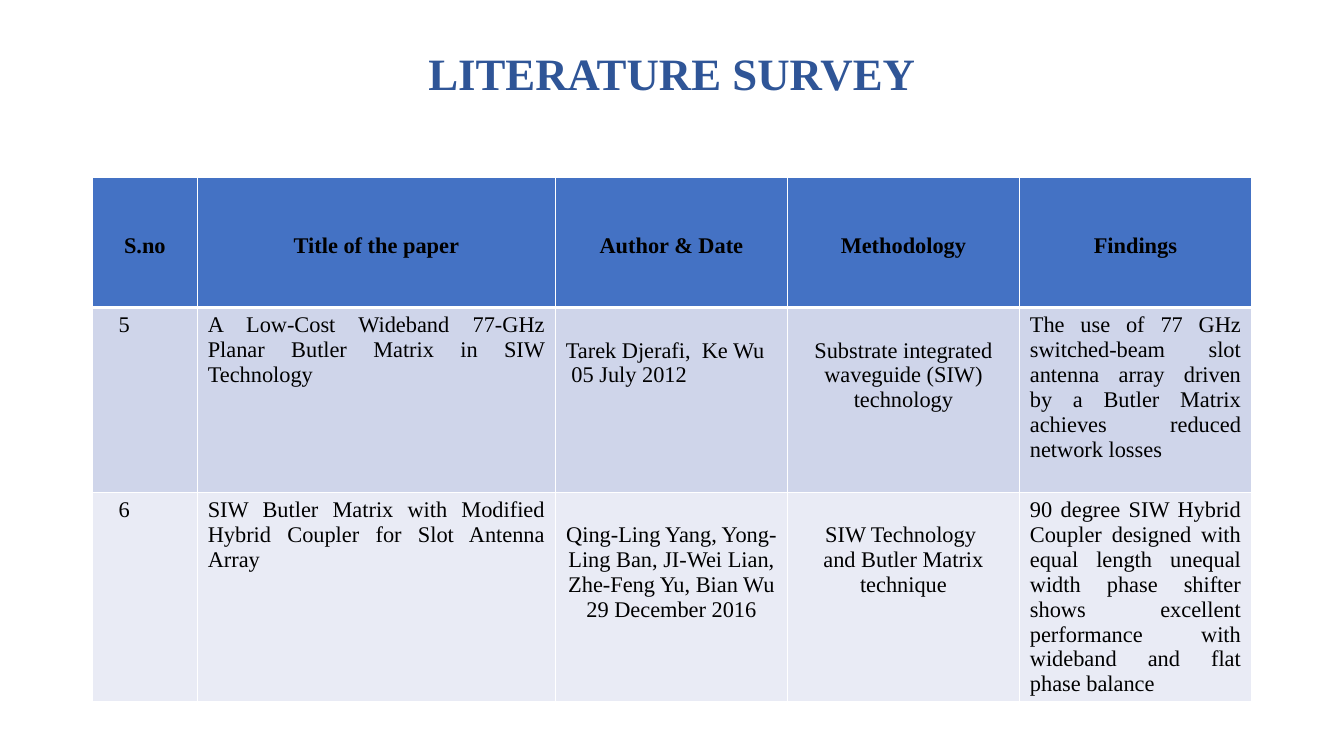
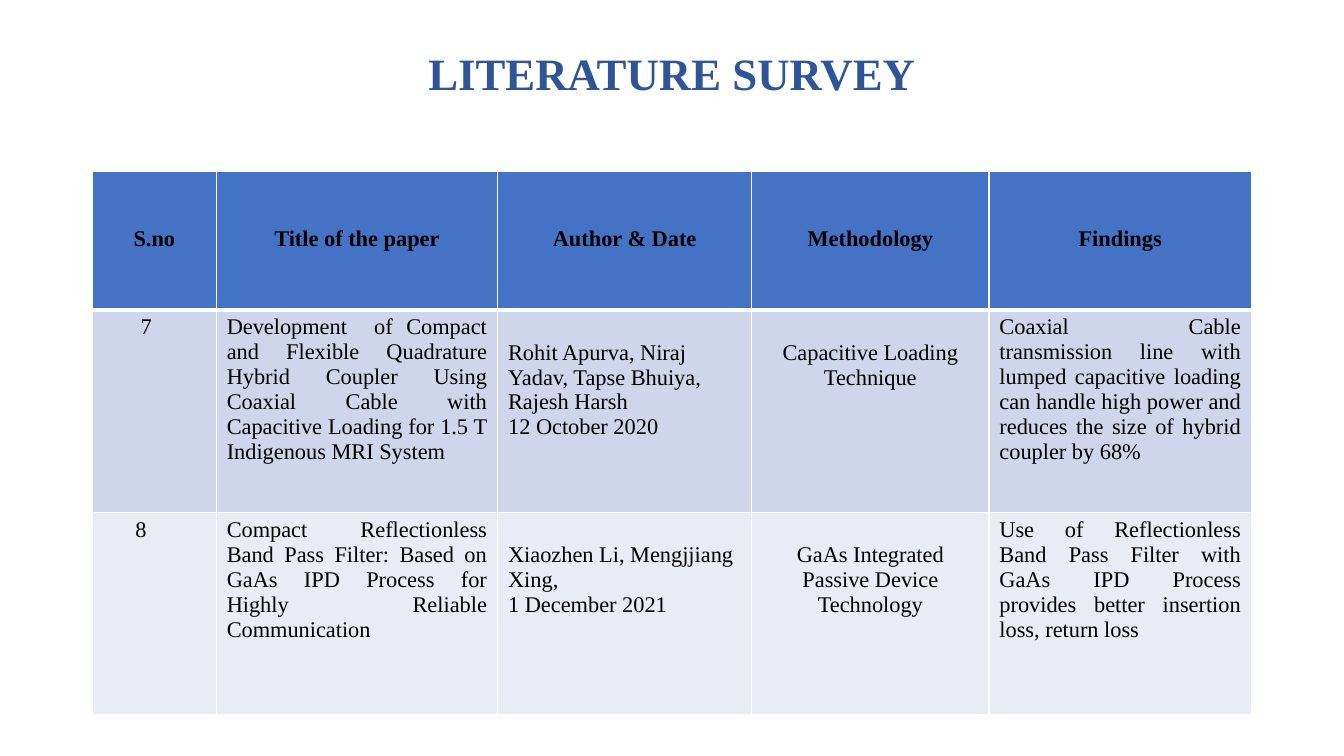
from lxml import etree
from pptx import Presentation
from pptx.dml.color import RGBColor
from pptx.enum import text
from pptx.oxml.ns import qn
from pptx.util import Pt

# Content
TITLE = "LITERATURE SURVEY"
HEADERS = ["S.no", "Title of the paper", "Author & Date", "Methodology", "Findings"]
LEFT, CENTER, JUSTIFY = (text.PP_ALIGN.LEFT, text.PP_ALIGN.CENTER,
                         text.PP_ALIGN.JUSTIFY)

# Each paper: number, number indent, title, author lines, author alignment,
# methodology lines, findings
SURVEYS = [
    {
        "top": 169,
        "cols": [100, 341, 221, 221, 221],
        "rows": [124, 176, 197],
        "papers": [
            ("5", 25,
             "A Low-Cost Wideband 77-GHz Planar Butler Matrix in SIW Technology",
             ["Tarek Djerafi,  Ke Wu", " 05 July 2012"], LEFT,
             ["Substrate integrated waveguide (SIW) technology"],
             "The use of 77 GHz switched-beam slot antenna array driven by "
             "a Butler Matrix achieves reduced network losses"),
            ("6", 25,
             "SIW Butler Matrix with Modified Hybrid Coupler for Slot Antenna Array",
             ["Qing-Ling Yang, Yong-Ling Ban, JI-Wei Lian, Zhe-Feng Yu, Bian Wu",
              "29 December 2016"], CENTER,
             ["SIW Technology ", "and Butler Matrix technique"],
             "90 degree SIW Hybrid Coupler designed with equal length unequal "
             "width phase shifter shows excellent performance with wideband "
             "and flat phase balance"),
        ],
    },
    {
        "top": 163,
        "cols": [118, 268, 242, 226, 250],
        "rows": [132, 193, 193],
        "papers": [
            ("7", 46,
             "Development  of Compact and Flexible Quadrature Hybrid Coupler "
             "Using Coaxial Cable with Capacitive Loading for 1.5 T "
             "Indigenous MRI System",
             ["Rohit Apurva, Niraj Yadav, Tapse Bhuiya, Rajesh Harsh",
              "12 October 2020"], LEFT,
             ["Capacitive Loading Technique"],
             "Coaxial Cable transmission line with lumped capacitive loading "
             "can handle high power and reduces the size of hybrid coupler by 68%"),
            ("8", 41,
             "Compact Reflectionless Band Pass Filter: Based on GaAs IPD "
             "Process for Highly Reliable Communication",
             ["Xiaozhen Li, Mengjjiang Xing,", "1 December 2021"], LEFT,
             ["GaAs Integrated Passive Device Technology"],
             "Use of Reflectionless Band Pass Filter with GaAs IPD Process "
             "provides better insertion loss, return loss"),
        ],
    },
]

# Shared style
COLORS = {"title": "2F5597", "text": "000000", "header": "4472C4",
          "odd": "CFD5EA", "even": "E9EBF5", "border": "FFFFFF"}
FONT = "Times New Roman"
PX = 9525                      # EMU in one px, 96 px to the inch
SLIDE_W, SLIDE_H = 1280, 720
MARGIN, CONTENT_W = 88, 1104
TITLE_TOP, TITLE_H = 38, 69
PAD_X, PAD_Y, LINE = 10, 5, 24


def rgb(name):
    return RGBColor.from_string(COLORS[name])


def style(p, size, color, bold, align):
    p.alignment = align
    p.font.name, p.font.size, p.font.bold = FONT, Pt(size), bold
    p.font.color.rgb = rgb(color)


def add_title(s):
    sp = s.shapes.title
    sp.left, sp.top = MARGIN * PX, TITLE_TOP * PX
    sp.width, sp.height = CONTENT_W * PX, TITLE_H * PX
    tf = sp.text_frame
    tf.text = TITLE
    tf.vertical_anchor = text.MSO_ANCHOR.MIDDLE
    p = tf.paragraphs[0]
    p.line_spacing = 0.9
    style(p, 32, "title", True, CENTER)


def set_borders(cell, widths):
    tc_pr = cell._tc.get_or_add_tcPr()
    for side, width in widths.items():
        ln = etree.SubElement(tc_pr, qn(f"a:ln{side}"), w=str(Pt(width)))
        fill = etree.SubElement(ln, qn("a:solidFill"))
        etree.SubElement(fill, qn("a:srgbClr"), val=COLORS["border"])


def fill_cell(cell, lines, fill, align, skip=0, indent=PAD_X, bold=False,
              top=1, bottom=1):
    """Write lines into a cell, starting `skip` text lines below its top."""
    set_borders(cell, {"L": 1, "R": 1, "T": top, "B": bottom})
    cell.fill.solid()
    cell.fill.fore_color.rgb = rgb(fill)
    cell.margin_left, cell.margin_right = indent * PX, PAD_X * PX
    cell.margin_top, cell.margin_bottom = (PAD_Y + skip * LINE) * PX, PAD_Y * PX
    cell.text_frame.text = "\n".join(lines)
    for p in cell.text_frame.paragraphs:
        style(p, 16, "text", bold, align)


def add_survey(s, survey):
    cols, rows = survey["cols"], survey["rows"]
    table = s.shapes.add_table(len(rows), len(cols), MARGIN * PX, survey["top"] * PX,
                               sum(cols) * PX, sum(rows) * PX).table
    for column, width in zip(table.columns, cols):
        column.width = width * PX
    for row, height in zip(table.rows, rows):
        row.height = height * PX

    # Header row
    for c, header in enumerate(HEADERS):
        fill_cell(table.cell(0, c), [header], "header", CENTER, skip=2,
                  bold=True, bottom=3)

    # One row for each paper
    for r, paper in enumerate(survey["papers"], 1):
        number, indent, title, authors, author_align, method, findings = paper
        fill = "odd" if r % 2 else "even"
        top = 3 if r == 1 else 1
        parts = [([number], LEFT, 0, indent), ([title], JUSTIFY, 0, PAD_X),
                 (authors, author_align, 1, PAD_X), (method, CENTER, 1, PAD_X),
                 ([findings], JUSTIFY, 0, PAD_X)]
        for c, (lines, align, skip, left) in enumerate(parts):
            fill_cell(table.cell(r, c), lines, fill, align, skip, left, top=top)


def main():
    prs = Presentation()
    prs.slide_width, prs.slide_height = SLIDE_W * PX, SLIDE_H * PX
    for survey in SURVEYS:
        s = prs.slides.add_slide(prs.slide_layouts[5])
        add_title(s)
        add_survey(s, survey)
    prs.save("out.pptx")


if __name__ == "__main__":
    main()
